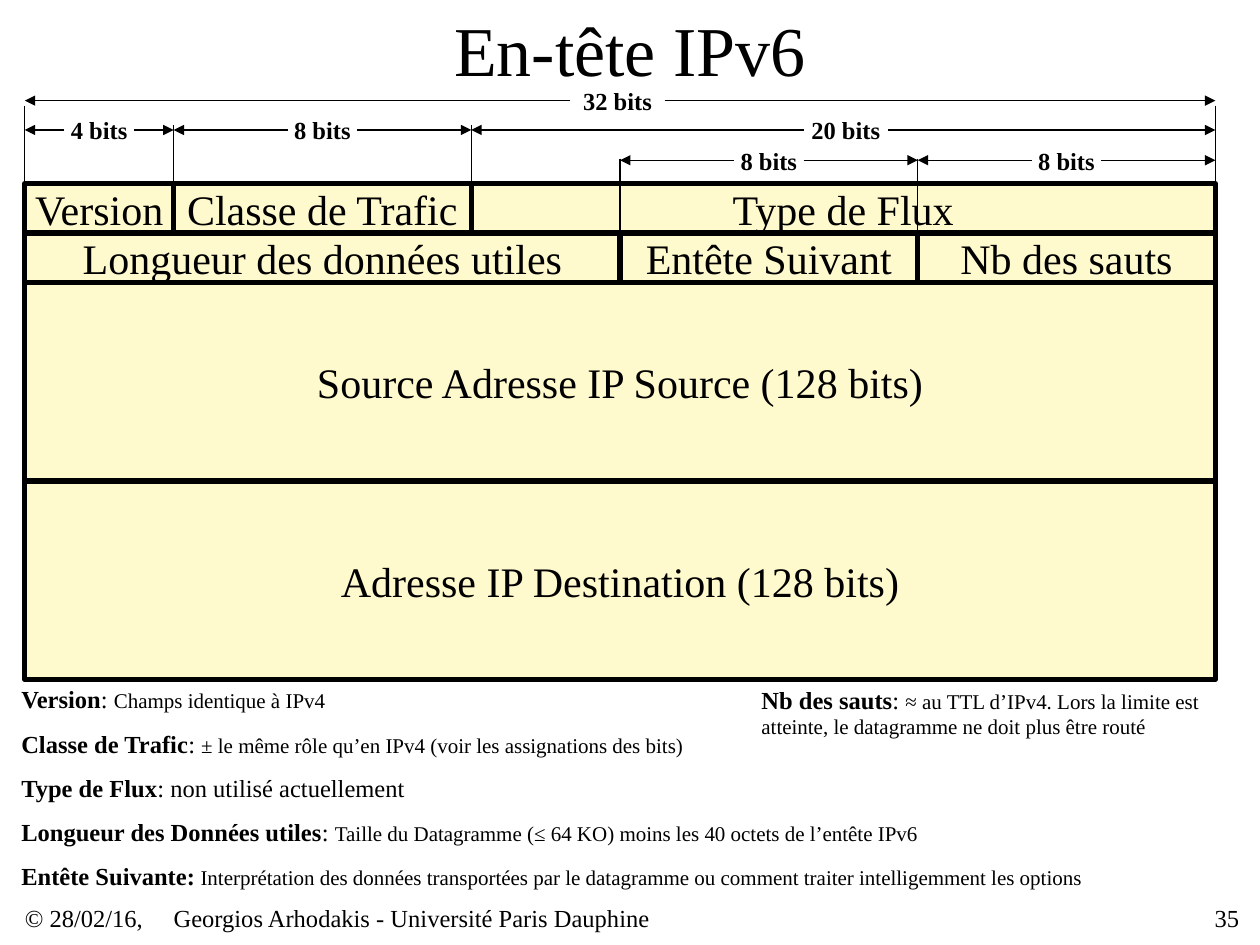
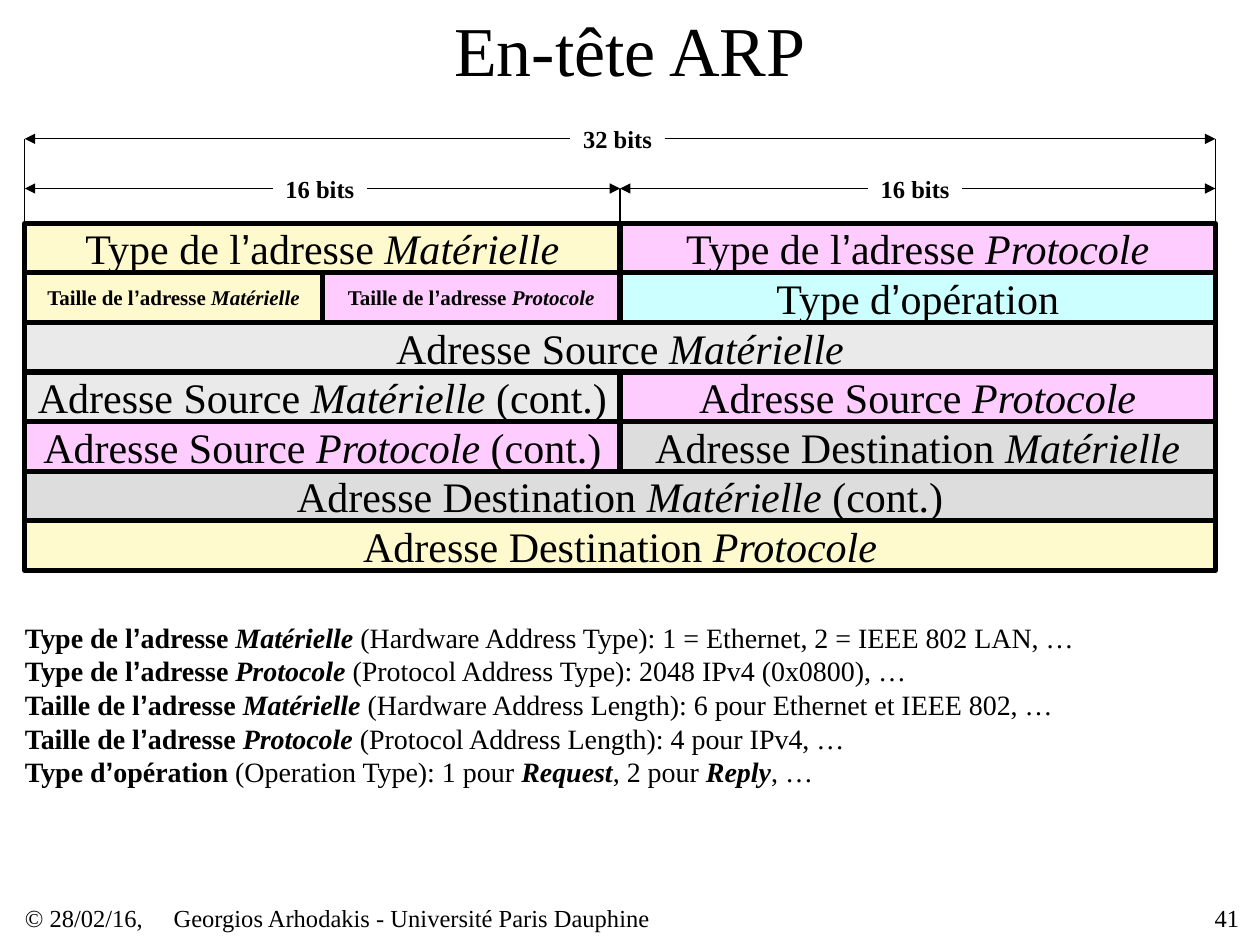
from itertools import groupby

from lxml.etree import SubElement
from pptx import Presentation
from pptx.dml.color import RGBColor
from pptx.enum.shapes import MSO_CONNECTOR, MSO_SHAPE
from pptx.enum.text import MSO_ANCHOR, PP_ALIGN
from pptx.oxml.ns import qn
from pptx.util import Cm, Pt

HUES = {
    "ink": "000000",
    "cream": "FFFACD",
    "pink": "FFCCFF",
    "aqua": "CCFFFF",
    "pale": "EAEAEA",
    "grey": "DDDDDD",
}
FONT = "Times New Roman"
QUOTE = "Arial"  # face of the apostrophe on the ARP slide
LEFT, BIT = 0.5, 0.75  # header diagram: left edge and width of one bit, in cm

# Room for a width label: cm to the left and right of the arrow's middle
GAPS = {4: (0.7, 0.7), 8: (0.7, 0.7), 16: (1, 0.9), 20: (0.8, 0.9), 32: (1, 0.9)}

# Text marks: *bold*, _italic_, ~small~
IPV6 = [
    (1, [(4, "cream", "Version"), (8, "cream", "Classe de Trafic"),
         (20, "cream", "Type de Flux")]),
    (1, [(16, "cream", "Longueur des données utiles"),
         (8, "cream", "Entête Suivant"), (8, "cream", "Nb des sauts")]),
    (4, [(32, "cream", "Source Adresse IP Source (128 bits)")]),
    (4, [(32, "cream", "Adresse IP Destination (128 bits)")]),
]
IPV6_NOTES = [
    "*Version*: ~Champs identique à IPv4~",
    "*Classe de Trafic*: ~± le même rôle qu’en IPv4 (voir les assignations des bits)~",
    "*Type de Flux*: non utilisé actuellement",
    "*Longueur des Données utiles*: "
    "~Taille du Datagramme (≤ 64 KO) moins les 40 octets de l’entête IPv6~",
    "*Entête Suivante:*~ Interprétation des données transportées par le datagramme "
    "ou comment traiter intelligemment les options~",
]
HOPS = ("*Nb des sauts*: ~≈ au TTL d’IPv4. Lors la limite est atteinte, "
        "le datagramme ne doit plus être routé~")
ARP = [
    (1, [(16, "cream", "Type de l’adresse _Matérielle_"),
         (16, "pink", "Type de l’adresse _Protocole_")]),
    (1, [(8, "cream", "~*Taille de l’adresse _Matérielle_*~"),
         (8, "pink", "~*Taille de l’adresse _Protocole_*~"),
         (16, "aqua", "Type d’opération")]),
    (1, [(32, "pale", "Adresse Source _Matérielle_")]),
    (1, [(16, "pale", "Adresse Source _Matérielle_ (cont.)"),
         (16, "pink", "Adresse Source _Protocole_")]),
    (1, [(16, "pink", "Adresse Source _Protocole_ (cont.)"),
         (16, "grey", "Adresse Destination _Matérielle_")]),
    (1, [(32, "grey", "Adresse Destination _Matérielle_ (cont.)")]),
    (1, [(32, "cream", "Adresse Destination _Protocole_")]),
]
ARP_NOTES = [
    "*Type de l’adresse _Matérielle _*(Hardware Address Type): "
    "1 = Ethernet, 2 = IEEE 802 LAN, …",
    "*Type de l’adresse _Protocole _*(Protocol Address Type): 2048 IPv4 (0x0800), …",
    "*Taille de l’adresse _Matérielle _*(Hardware Address Length): "
    "6 pour Ethernet et IEEE 802, …",
    "*Taille de l’adresse _Protocole _*(Protocol Address Length): 4 pour IPv4, …",
    "*Type d’opération *(Operation Type): 1 pour *_Request_*, 2 pour *_Reply_*, …",
]


def hue(name):
    return RGBColor.from_string(HUES[name])


def at(bit):
    """Place of a bit boundary, in cm from the left."""
    return LEFT + bit * BIT


def write(par, text, size, quote):
    """Fill a paragraph from marked text."""
    par.font.name, par.font.size = FONT, Pt(size)
    par.font.color.rgb = hue("ink")
    active = set()
    for mark, chars in groupby(text, lambda c: c if c in "*_~’" else ""):
        if mark and mark != "’":
            active ^= {mark}
            continue
        run = par.add_run()
        run.text = "".join(chars)
        if "*" in active:
            run.font.bold = True
        if "_" in active:
            run.font.italic = True
        if "~" in active:
            run.font.size = Pt(12)
        if mark and quote != FONT:
            run.font.name = quote


def put(shape, lines, size, align, quote=FONT, pad=(0, 0), space=None,
        anchor=MSO_ANCHOR.MIDDLE):
    """Set the text of a box or a cell."""
    frame = shape.text_frame
    frame.word_wrap = True
    frame.vertical_anchor = anchor
    frame.margin_left = frame.margin_right = Cm(pad[0])
    frame.margin_top = frame.margin_bottom = Cm(pad[1])
    for i, line in enumerate(lines):
        par = frame.add_paragraph() if i else frame.paragraphs[0]
        par.alignment = align
        if space:
            par.line_spacing = space
        write(par, line, size, quote)


def text(slide, place, lines, size=14, align=PP_ALIGN.LEFT, **look):
    box = slide.shapes.add_textbox(*map(Cm, place))
    put(box, lines, size, align, **look)


def line(slide, x1, y1, x2, y2, arrow=False):
    link = slide.shapes.add_connector(
        MSO_CONNECTOR.STRAIGHT, Cm(x1), Cm(y1), Cm(x2), Cm(y2))
    link.line.color.rgb = hue("ink")
    link.line.width = Pt(0.75)
    props = link._element.spPr
    if arrow:
        SubElement(props.find(qn("a:ln")), qn("a:tailEnd"), type="triangle")
    SubElement(props, qn("a:effectLst"))


def span(slide, y, first, bits):
    """Double arrow over a range of bits, with its width in the middle."""
    start, end = at(first), at(first + bits)
    mid = (start + end) / 2
    low, high = mid - GAPS[bits][0], mid + GAPS[bits][1]
    line(slide, low, y, start, y, arrow=True)
    line(slide, high, y, end, y, arrow=True)
    text(slide, (low, y - 0.3, high - low, 0.6), [f"*{bits} bits*"],
         align=PP_ALIGN.CENTER)


def cell(slide, place, fill, label):
    box = slide.shapes.add_shape(MSO_SHAPE.RECTANGLE, *map(Cm, place))
    box.shadow.inherit = False
    box.fill.solid()
    box.fill.fore_color.rgb = hue(fill)
    box.line.color.rgb = hue("ink")
    box.line.width = Pt(3)
    put(box, [label], 24, PP_ALIGN.CENTER, QUOTE)


def grid(slide, top, rows):
    """Rows of header fields, each as wide as its number of bits."""
    for high, fields in rows:
        first = 0
        for bits, fill, label in fields:
            cell(slide, (at(first), top, bits * BIT, high), fill, label)
            first += bits
        top += high


def page(deck, title, number):
    """New slide with the shared title and footer."""
    slide = deck.slides.add_slide(deck.slide_layouts[6])
    text(slide, (1.9, 0, 21.6, 1.95), [title], 40, PP_ALIGN.CENTER, pad=(0.25, 0.13))
    text(slide, (0.5, 18.2, 3, 0.6), ["© 28/02/16,"])
    text(slide, (3.5, 18.2, 15, 0.6), ["Georgios Arhodakis - Université Paris Dauphine"])
    text(slide, (19.7, 18.2, 5.28, 0.6), [str(number)], align=PP_ALIGN.RIGHT)
    return slide


def scale(slide, guides, spans):
    """Guide lines and width arrows above the header."""
    for bit, top, high in guides:
        line(slide, at(bit), top, at(bit), top + high)
    for y, first, bits in spans:
        span(slide, y, first, bits)


def main():
    deck = Presentation()
    deck.slide_width, deck.slide_height = Cm(25.4), Cm(19.05)

    # IPv6 header
    slide = page(deck, "En-tête IPv6", 35)
    grid(slide, 3.7, IPV6)
    scale(slide,
          [(0, 2.13, 4), (32, 2.13, 4), (4, 2.52, 1.5), (12, 2.52, 1.5),
           (16, 3.2, 1.5), (24, 3.2, 1.5)],
          [(2.03, 0, 32), (2.62, 0, 4), (2.62, 4, 8), (2.62, 12, 20),
           (3.23, 16, 8), (3.23, 24, 8)])
    text(slide, (0.43, 13.5, 22.5, 4.45), IPV6_NOTES,
         align=PP_ALIGN.JUSTIFY, space=1.5)
    text(slide, (15.1, 13.67, 9.4, 1.37), [HOPS], pad=(0.25, 0.13),
         anchor=MSO_ANCHOR.TOP)

    # ARP header
    slide = page(deck, "En-tête ARP", 41)
    grid(slide, 4.5, ARP)
    scale(slide,
          [(0, 2.8, 4), (32, 2.8, 4), (16, 3.8, 1.5)],
          [(2.8, 0, 32), (3.8, 0, 16), (3.8, 16, 16)])
    text(slide, (0.5, 12.5, 24, 3.4), ARP_NOTES, 16, quote=QUOTE)

    deck.save("out.pptx")


if __name__ == "__main__":
    main()
